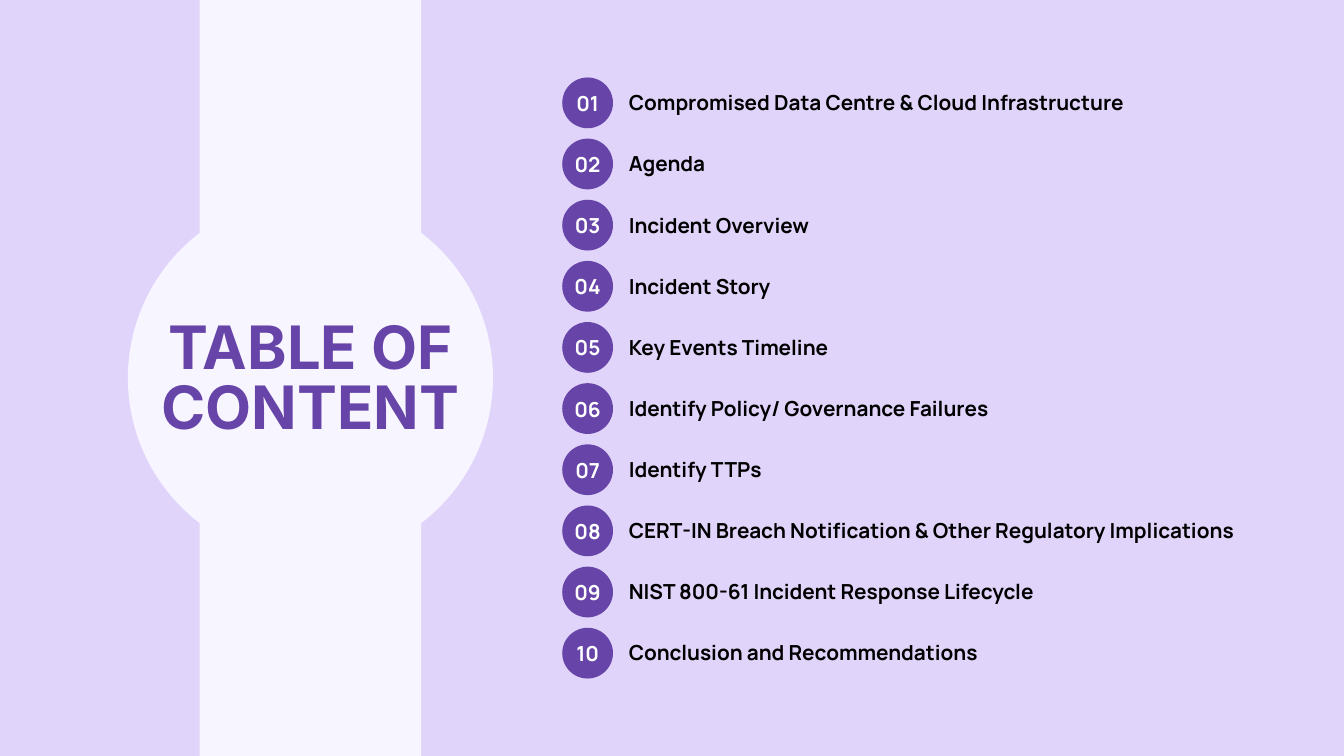
import pptx
import pptx.util
from pptx.dml.color import RGBColor
from pptx.enum.shapes import MSO_SHAPE
from pptx.enum.text import MSO_ANCHOR, PP_ALIGN

Pt = pptx.util.Pt

COLORS = {"background": "E1D4FA", "panel": "F7F5FF", "accent": "6644A8",
          "number": "FFFFFF", "label": "000000"}
SLIDE_W, SLIDE_H = 1440, 810
TOPICS = [
    "Compromised Data Centre & Cloud Infrastructure",
    "Agenda",
    "Incident Overview",
    "Incident Story",
    "Key Events Timeline",
    "Identify Policy/ Governance Failures",
    "Identify TTPs",
    "CERT-IN Breach Notification & Other Regulatory Implications",
    "NIST 800-61 Incident Response Lifecycle",
    "Conclusion and Recommendations",
]
TITLE = {"name": "Inter", "size": Pt(64.1), "bold": True}
ITEM = {"name": "Manrope", "size": Pt(22.2), "bold": True}


def rgb(name):
    return RGBColor.from_string(COLORS[name])


def add_shape(s, kind, x, y, w, h, color):
    sp = s.shapes.add_shape(kind, Pt(x), Pt(y), Pt(w), Pt(h))
    sp.shadow.inherit = False
    sp.fill.solid()
    sp.fill.fore_color.rgb = rgb(color)
    sp.line.fill.background()
    return sp


def set_text(sp, text, font, color, leading, align, anchor=MSO_ANCHOR.TOP, bottom=0):
    tf = sp.text_frame
    frame = {"word_wrap": True, "vertical_anchor": anchor, "margin_left": 0,
             "margin_top": 0, "margin_right": 0, "margin_bottom": Pt(bottom)}
    for key, value in frame.items():
        setattr(tf, key, value)
    p = tf.paragraphs[0]
    for key, value in {"alignment": align, "line_spacing": Pt(leading),
                       "space_before": Pt(0)}.items():
        setattr(p, key, value)
    r = p.add_run()
    r.text = text
    for key, value in font.items():
        setattr(r.font, key, value)
    r.font.color.rgb = rgb(color)


def title_panel(s, x, y, w, h):
    """Full-height band with a centred disc that carries the title."""
    band_w, title_h = 237.4, 130.3
    add_shape(s, MSO_SHAPE.RECTANGLE, x + (w - band_w) / 2, y, band_w, h, "panel")
    add_shape(s, MSO_SHAPE.OVAL, x, y + (h - w) / 2, w, w, "panel")
    title = s.shapes.title
    s.shapes._spTree.append(title._element)  # bring in front of the disc
    box = {"left": x, "top": y + (h - title_h) / 2 + 5, "width": w, "height": title_h}
    for key, value in box.items():
        setattr(title, key, Pt(value))
    set_text(title, "TABLE OF CONTENT", TITLE, "accent", 64.1, PP_ALIGN.CENTER)


def contents_list(s, x, y, w, h):
    """Numbered discs with labels, spread evenly over the height."""
    disc, label_x, label_h = 54.4, 71.3, 31.7
    pitch = (h - disc) / (len(TOPICS) - 1)
    for i, topic in enumerate(TOPICS):
        top = y + i * pitch
        sp = add_shape(s, MSO_SHAPE.OVAL, x, top, disc, disc, "accent")
        set_text(sp, f"{i + 1:02}", ITEM, "number", 31.1, PP_ALIGN.CENTER,
                 MSO_ANCHOR.MIDDLE, 4)
        sp = s.shapes.add_textbox(Pt(x + label_x), Pt(top + 9),
                                  Pt(w - label_x), Pt(label_h))
        set_text(sp, topic, ITEM, "label", 31.1, PP_ALIGN.LEFT)


def main():
    prs = pptx.Presentation()
    prs.slide_width, prs.slide_height = Pt(SLIDE_W), Pt(SLIDE_H)
    s = prs.slides.add_slide(prs.slide_layouts[5])
    s.background.fill.solid()
    s.background.fill.fore_color.rgb = rgb("background")
    title_panel(s, 137, 0, 391.2, SLIDE_H)
    contents_list(s, 602.4, 83, 764, 644)
    prs.save("out.pptx")


if __name__ == "__main__":
    main()
